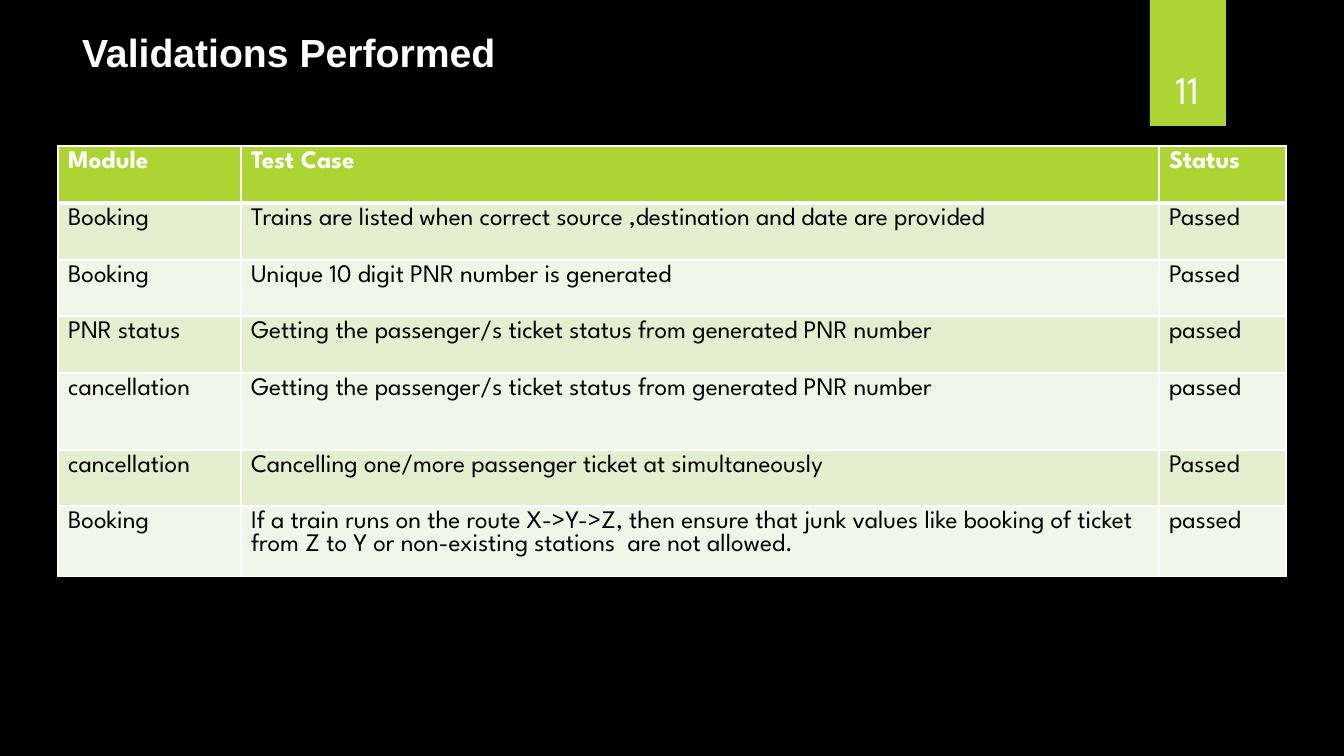
from lxml import etree
from pptx import Presentation
from pptx.dml.color import RGBColor
from pptx.enum.shapes import MSO_SHAPE
from pptx.enum.text import MSO_ANCHOR, PP_ALIGN
from pptx.oxml.ns import qn
from pptx.util import Emu, Pt

RECTANGLE = MSO_SHAPE.RECTANGLE
TOP, BOTTOM = MSO_ANCHOR.TOP, MSO_ANCHOR.BOTTOM
LEFT, CENTER = PP_ALIGN.LEFT, PP_ALIGN.CENTER

BLACK = RGBColor(0x00, 0x00, 0x00)
WHITE = RGBColor(0xFF, 0xFF, 0xFF)
LIME = RGBColor(0xAC, 0xD4, 0x33)
PALE_LIME = RGBColor(0xE3, 0xEF, 0xCE)
PALEST_LIME = RGBColor(0xF1, 0xF7, 0xE8)

EMU_PER_PX = 914400 / 100.8
TITLE_ONLY = 5

COLUMN_WIDTHS = [183, 918, 127]
ROW_HEIGHTS = [57, 57, 56, 57, 77, 56, 57]
TEST_CASES = [
    ("Module", "Test Case", "Status"),
    ("Booking", "Trains are listed when correct source ,destination and date are provided", "Passed"),
    ("Booking", "Unique 10 digit PNR number is generated", "Passed"),
    ("PNR status", "Getting the passenger/s ticket status from generated PNR number", "passed"),
    ("cancellation", "Getting the passenger/s ticket status from generated PNR number", "passed"),
    ("cancellation", "Cancelling one/more passenger ticket at simultaneously", "Passed"),
    ("Booking", "If a train runs on the route X->Y->Z, then ensure that junk values like "
     "booking of ticket from Z to Y or non-existing stations  are not allowed.", "passed"),
]


def px(n):
    return Emu(round(n * EMU_PER_PX))


def write(tf, text, font, size, color, bold=False, align=LEFT, anchor=TOP, spacing=None):
    tf.word_wrap = True
    tf.vertical_anchor = anchor
    p = tf.paragraphs[0]
    p.alignment = align
    p.line_spacing = spacing
    r = p.add_run()
    r.text = text
    r.font.name = font
    r.font.size = Pt(size)
    r.font.bold = bold
    r.font.color.rgb = color


def set_borders(cell, color, **widths):
    """Draw cell borders; widths maps L, R, T and B, in that order, to points."""
    tc_pr = cell._tc.get_or_add_tcPr()
    for i, (side, width) in enumerate(widths.items()):
        ln = etree.Element(qn(f"a:ln{side}"), w=str(Pt(width)))
        fill = etree.SubElement(ln, qn("a:solidFill"))
        etree.SubElement(fill, qn("a:srgbClr"), val=str(color))
        tc_pr.insert(i, ln)


class SlideBuilder:
    heading_font = "Arial"
    body_font = "League Spartan"

    def __init__(self, s):
        self.s = s
        s.background.fill.solid()
        s.background.fill.fore_color.rgb = BLACK

    def title(self, text, left, top, width, height):
        sp = self.s.shapes.title
        sp.left, sp.top, sp.width, sp.height = map(px, (left, top, width, height))
        write(sp.text_frame, text, self.heading_font, 28, WHITE, bold=True, spacing=0.9)

    def ribbon(self, left, top, width, height):
        sp = self.s.shapes.add_shape(RECTANGLE, *map(px, (left, top, width, height)))
        sp.shadow.inherit = False
        sp.fill.solid()
        sp.fill.fore_color.rgb = LIME
        sp.line.fill.background()

    def page_number(self, text, left, top, width, height):
        sp = self.s.shapes.add_textbox(*map(px, (left, top, width, height)))
        write(sp.text_frame, text, self.body_font, 28, WHITE, align=CENTER, anchor=BOTTOM)

    def table(self, rows, left, top, widths, heights):
        box = map(px, (left, top, sum(widths), sum(heights)))
        table = self.s.shapes.add_table(len(rows), len(widths), *box).table
        for column, width in zip(table.columns, widths):
            column.width = px(width)
        for i, (row, height) in enumerate(zip(rows, heights)):
            table.rows[i].height = px(height)
            header = i == 0
            fill = LIME if header else PALE_LIME if i % 2 else PALEST_LIME
            for j, text in enumerate(row):
                cell = table.cell(i, j)
                cell.fill.solid()
                cell.fill.fore_color.rgb = fill
                set_borders(cell, WHITE, L=1, R=1, T=3 if i == 1 else 1, B=3 if header else 1)
                write(cell.text_frame, text, self.body_font, 18,
                      WHITE if header else BLACK, bold=header)


def main():
    prs = Presentation()
    prs.slide_width, prs.slide_height = px(1344), px(756)
    slide = SlideBuilder(prs.slides.add_slide(prs.slide_layouts[TITLE_ONLY]))
    slide.ribbon(1150, 0, 76, 126)
    slide.title("Validations Performed", 72, 29, 1086, 70)
    slide.page_number("11", 1141, 32, 93, 85)
    slide.table(TEST_CASES, 58, 146, COLUMN_WIDTHS, ROW_HEIGHTS)
    prs.save("out.pptx")


if __name__ == "__main__":
    main()
